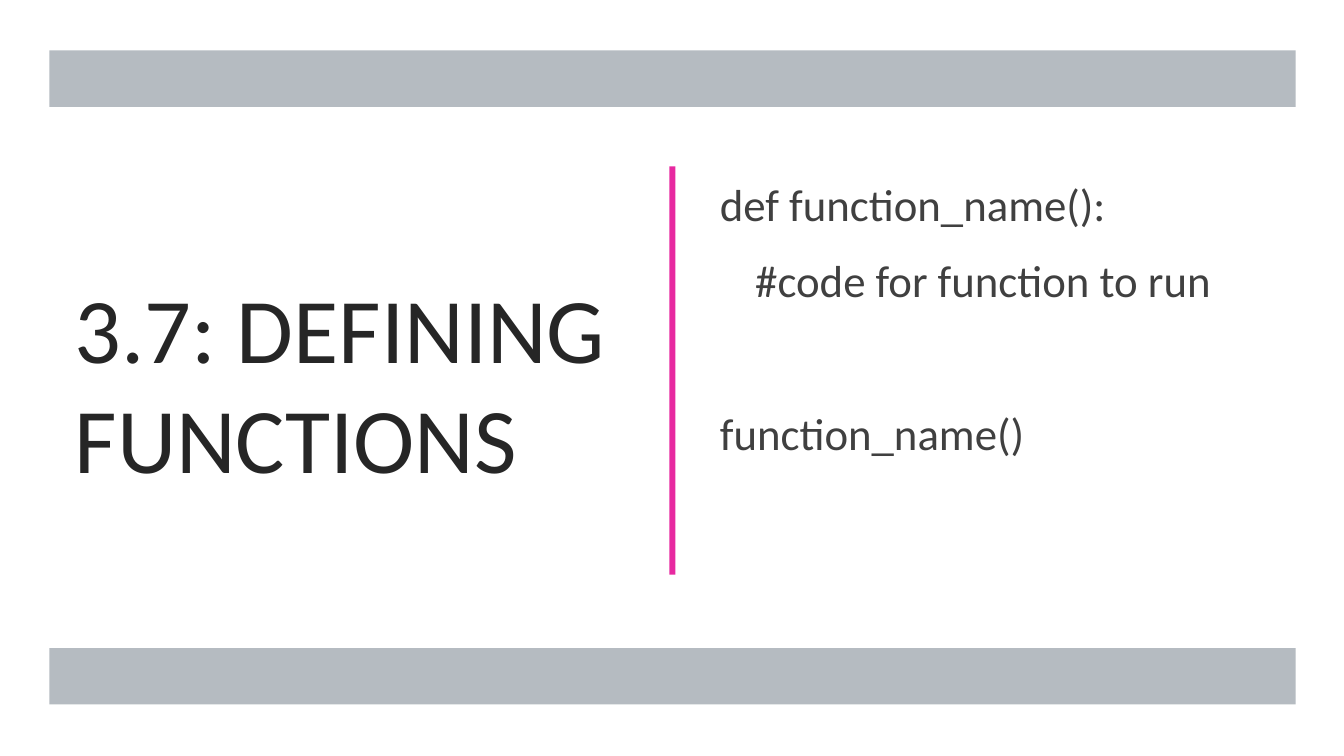
from lxml.etree import SubElement
from pptx import Presentation
from pptx.dml.color import RGBColor
from pptx.enum.shapes import MSO_SHAPE
from pptx.enum.text import MSO_ANCHOR, MSO_AUTO_SIZE, PP_ALIGN
from pptx.oxml.ns import qn
from pptx.util import Inches, Pt

COLORS = {
    "background": "FFFFFF",
    "band": "969FA7",
    "divider": "E729A0",
    "title": "262626",
    "body": "404040",
}
FONT = "Calibri"

# Text, left indent in inches, space before in points
CODE_LINES = [
    ("def function_name():", 0, 6),
    ("#code for function to run", 0.35, 6),
    ("function_name()", 0, 61),
]


def place(shape, box):
    shape.left, shape.top, shape.width, shape.height = map(Inches, box)


def add_bar(slide, box, color, opacity=100):
    bar = slide.shapes.add_shape(MSO_SHAPE.RECTANGLE, *map(Inches, box))
    bar.shadow.inherit = False
    bar.line.fill.background()
    bar.fill.solid()
    bar.fill.fore_color.rgb = RGBColor.from_string(COLORS[color])
    if opacity < 100:
        color_element = bar.fill._xPr.find(qn("a:solidFill"))[0]
        SubElement(color_element, qn("a:alpha"), val=str(opacity * 1000))


def add_run(paragraph, text, size, color):
    run = paragraph.add_run()
    run.text = text
    run.font.name = FONT
    run.font.size = Pt(size)
    run.font.color.rgb = RGBColor.from_string(COLORS[color])


def prepare_frame(placeholder, box, anchor):
    place(placeholder, box)
    frame = placeholder.text_frame
    frame.word_wrap = True
    frame.auto_size = MSO_AUTO_SIZE.NONE
    frame.vertical_anchor = anchor
    return frame


def fill_title(slide, box):
    frame = prepare_frame(slide.shapes.title, box, MSO_ANCHOR.MIDDLE)
    paragraph = frame.paragraphs[0]
    paragraph.alignment = PP_ALIGN.LEFT
    add_run(paragraph, "3.7: DEFINING FUNCTIONS", 66, "title")


def fill_code(slide, box):
    frame = prepare_frame(slide.placeholders[1], box, MSO_ANCHOR.TOP)
    for index, (text, indent, space_before) in enumerate(CODE_LINES):
        paragraph = frame.add_paragraph() if index else frame.paragraphs[0]
        paragraph.line_spacing = 1.1
        paragraph.space_before = Pt(space_before)
        paragraph.space_after = Pt(6)
        # Plain lines without bullets
        properties = paragraph._p.get_or_add_pPr()
        properties.set("marL", str(Inches(indent)))
        properties.set("indent", "0")
        SubElement(properties, qn("a:buNone"))
        add_run(paragraph, text, 32, "body")


def build_slide(presentation):
    slide = presentation.slides.add_slide(presentation.slide_layouts[1])
    background = slide.background.fill
    background.solid()
    background.fore_color.rgb = RGBColor.from_string(COLORS["background"])

    # Bands above and below the content
    for top in (0.5, 6.43):
        add_bar(slide, (0.49, top, 12.36, 0.56), "band", opacity=70)

    # Title, divider and code, side by side
    top, height = 1.65, 4.27
    fill_title(slide, (0.64, top, 5.6, height))
    add_bar(slide, (6.64, top, 0.06, 4.05), "divider")
    fill_code(slide, (7.04, top, 5.27, height))


def main():
    presentation = Presentation()
    presentation.slide_width = Inches(13.33)
    presentation.slide_height = Inches(7.5)
    build_slide(presentation)
    presentation.save("out.pptx")


if __name__ == "__main__":
    main()
